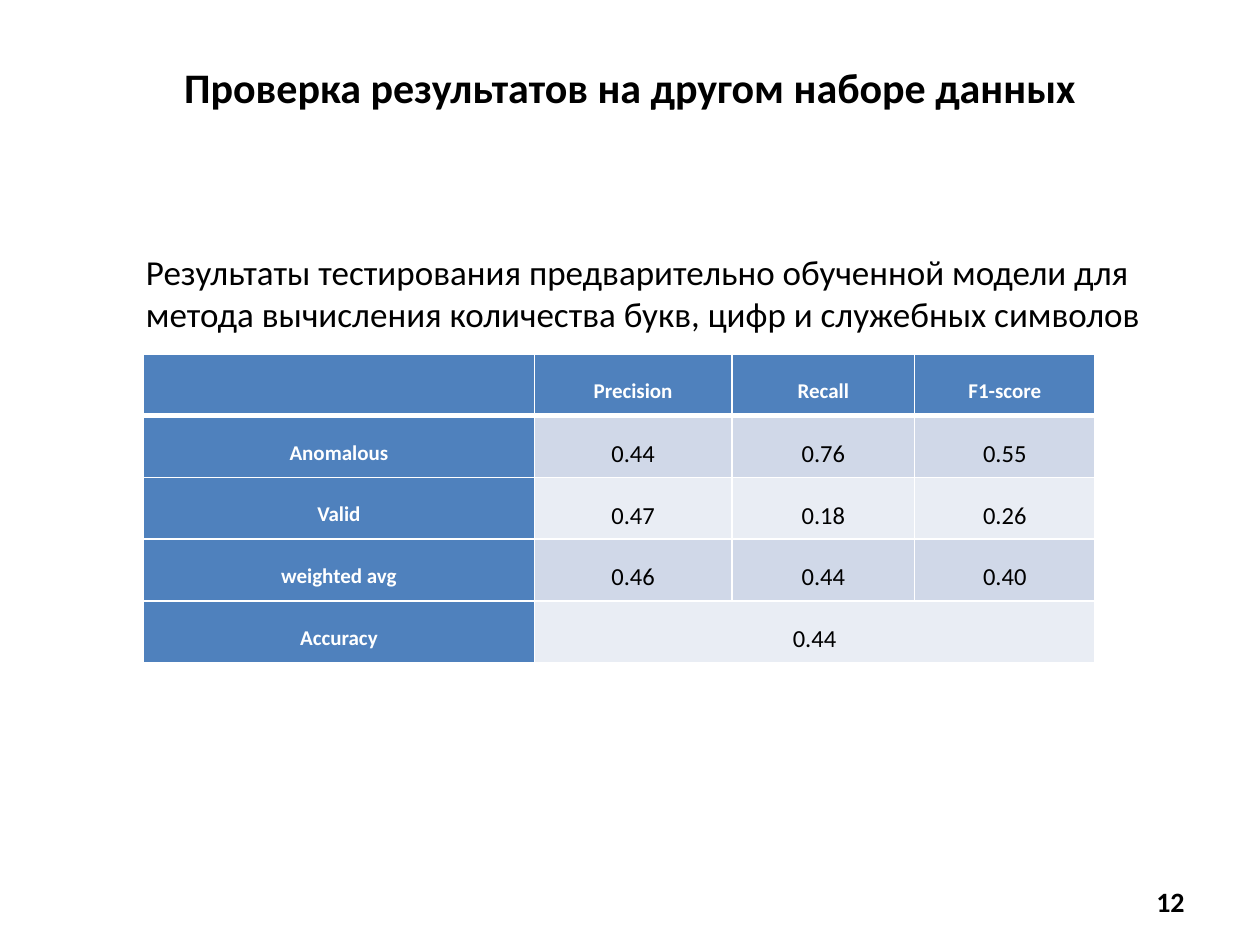
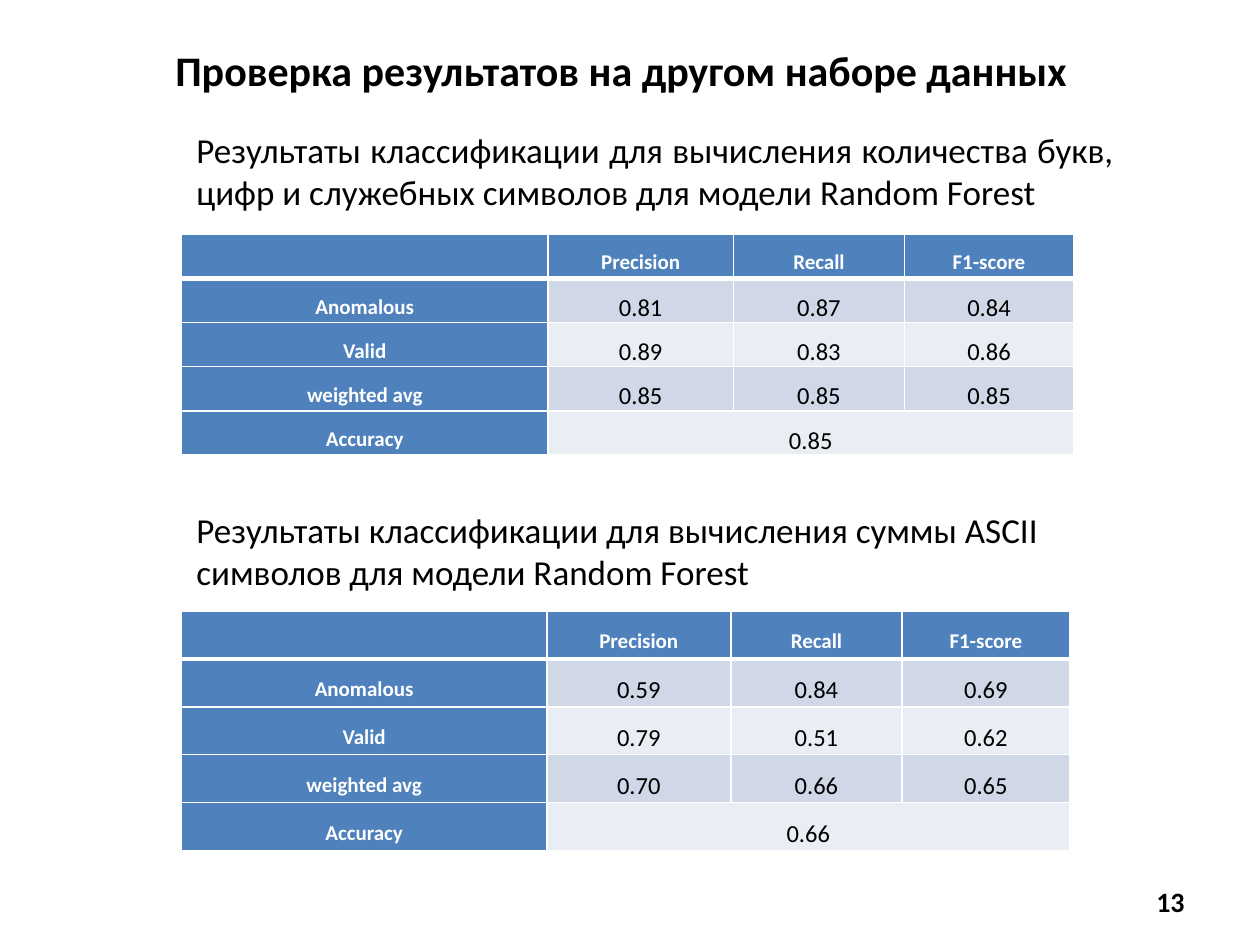
from lxml.etree import SubElement
from pptx import Presentation
from pptx.dml.color import RGBColor
from pptx.enum.text import MSO_ANCHOR, PP_ALIGN
from pptx.oxml.ns import qn
from pptx.util import Inches, Pt

FONT = "Calibri"
BLACK, WHITE = "000000", "FFFFFF"
HEADER, BANDS = "4F81BD", ("D0D8E8", "E9EDF4")
TITLE = "Проверка результатов на другом наборе данных"
METRICS = ["", "Precision", "Recall", "F1-score"]
ROW_NAMES = ["Anomalous", "Valid", "weighted avg", "Accuracy"]


def color(value):
    return RGBColor.from_string(value)


def write_text(tf, text, size=20, fill=BLACK, bold=False,
               align=PP_ALIGN.LEFT, spacing=None):
    p = tf.paragraphs[0]
    p.alignment = align
    if spacing:
        p.line_spacing = spacing
    r = p.add_run()
    r.text = text
    r.font.name = FONT
    r.font.size = Pt(size)
    r.font.bold = bold
    r.font.color.rgb = color(fill)


def add_text(s, box, text, anchor=MSO_ANCHOR.TOP, **fmt):
    sp = s.shapes.add_textbox(*map(Inches, box))
    tf = sp.text_frame
    tf.word_wrap = True
    tf.vertical_anchor = anchor
    write_text(tf, text, **fmt)


def add_slide(prs, number, title_box):
    """Slide with the shared title and page number."""
    s = prs.slides.add_slide(prs.slide_layouts[5])
    title = s.shapes.title
    title.left, title.top, title.width, title.height = map(Inches, title_box)
    title.text_frame.vertical_anchor = MSO_ANCHOR.MIDDLE
    write_text(title.text_frame, TITLE, size=24, bold=True, align=PP_ALIGN.CENTER)
    add_text(s, (7.17, 6.95, 2.33, 0.4), str(number), anchor=MSO_ANCHOR.MIDDLE,
             size=16, bold=True, align=PP_ALIGN.RIGHT)
    return s


def set_borders(cell, top, bottom):
    tc_pr = cell._tc.get_or_add_tcPr()
    for side, width in (("L", 1), ("R", 1), ("T", top), ("B", bottom)):
        ln = SubElement(tc_pr, qn(f"a:ln{side}"), w=str(Pt(width)))
        SubElement(SubElement(ln, qn("a:solidFill")), qn("a:srgbClr"), val=WHITE)


def format_cell(cell, text, row, col):
    is_header = row == 0 or col == 0
    set_borders(cell, top=3 if row == 1 else 1, bottom=3 if row == 0 else 1)
    cell.fill.solid()
    cell.fill.fore_color.rgb = color(HEADER if is_header else BANDS[(row - 1) % 2])
    cell.vertical_anchor = MSO_ANCHOR.MIDDLE
    cell.margin_left = cell.margin_right = Inches(0.07)
    cell.margin_top = cell.margin_bottom = 0
    if text:
        write_text(cell.text_frame, text, size=12 if is_header else 14,
                   fill=WHITE if is_header else BLACK, bold=is_header,
                   align=PP_ALIGN.CENTER, spacing=1.5)


def add_scores(s, left, top, widths, row_height, scores, accuracy):
    """Table of metrics by class, with accuracy across the last row."""
    values = [*scores, [accuracy]]
    rows = [METRICS] + [[name, *v] for name, v in zip(ROW_NAMES, values)]
    frame = s.shapes.add_table(len(rows), len(METRICS), Inches(left), Inches(top),
                               Inches(sum(widths)), Inches(row_height * len(rows)))
    table = frame.table
    for column, width in zip(table.columns, widths):
        column.width = Inches(width)
    last = len(rows) - 1
    table.cell(last, 1).merge(table.cell(last, len(METRICS) - 1))
    for i, row in enumerate(rows):
        table.rows[i].height = Inches(row_height)
        for j, text in enumerate(row):
            format_cell(table.cell(i, j), text, i, j)


def main():
    prs = Presentation()
    prs.slide_width, prs.slide_height = Inches(10), Inches(7.5)

    # Pretrained model
    s = add_slide(prs, 12, (0.5, 0.3, 9, 0.77))
    add_scores(s, 1.14, 2.81, (3.1, 1.57, 1.45, 1.43), 0.49,
               [["0.44", "0.76", "0.55"],
                ["0.47", "0.18", "0.26"],
                ["0.46", "0.44", "0.40"]], "0.44")
    add_text(s, (1.06, 1.94, 8.66, 0.77),
             "Результаты тестирования предварительно обученной модели для метода "
             "вычисления количества букв, цифр и служебных символов")

    # Random Forest: character counts, then ASCII sums
    s = add_slide(prs, 13, (0.43, 0.21, 9, 0.69))
    add_text(s, (1.46, 0.97, 7.48, 0.77),
             "Результаты классификации для вычисления количества букв, цифр и "
             "служебных символов для модели Random Forest", align=PP_ALIGN.JUSTIFY)
    add_scores(s, 1.44, 1.86, (2.91, 1.47, 1.36, 1.34), 0.35,
               [["0.81", "0.87", "0.84"],
                ["0.89", "0.83", "0.86"],
                ["0.85", "0.85", "0.85"]], "0.85")
    add_text(s, (1.46, 3.99, 7.56, 0.77),
             "Результаты классификации для вычисления суммы ASCII символов для "
             "модели Random Forest")
    add_scores(s, 1.44, 4.85, (2.9, 1.46, 1.36, 1.33), 0.38,
               [["0.59", "0.84", "0.69"],
                ["0.79", "0.51", "0.62"],
                ["0.70", "0.66", "0.65"]], "0.66")

    prs.save("out.pptx")


if __name__ == "__main__":
    main()
